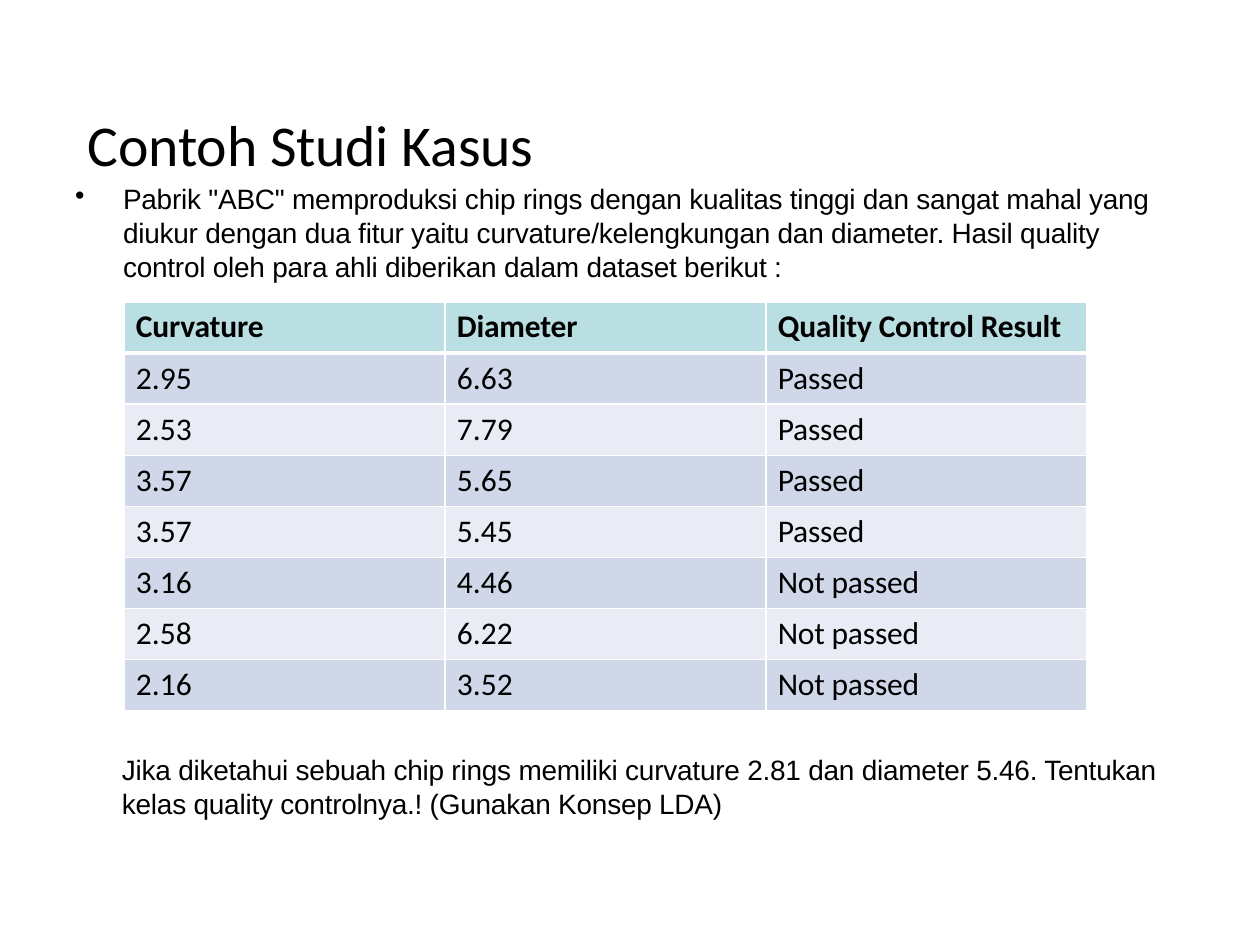
from lxml.etree import SubElement
from pptx import Presentation
from pptx.dml.color import RGBColor
from pptx.enum.text import MSO_ANCHOR
from pptx.oxml.ns import qn
from pptx.util import Pt

SCALE = 914400 // 126  # EMU in one px

INTRO = (
    'Pabrik "ABC" memproduksi chip rings dengan kualitas tinggi dan sangat '
    "mahal yang diukur dengan dua fitur yaitu curvature/kelengkungan dan "
    "diameter. Hasil quality control oleh para ahli diberikan dalam dataset "
    "berikut :"
)
TASK = (
    "Jika diketahui sebuah chip rings memiliki curvature 2.81 dan diameter "
    "5.46. Tentukan kelas quality controlnya.! (Gunakan Konsep LDA)"
)
ROWS = [
    ("Curvature", "Diameter", "Quality Control Result"),
    ("2.95", "6.63", "Passed"),
    ("2.53", "7.79", "Passed"),
    ("3.57", "5.65", "Passed"),
    ("3.57", "5.45", "Passed"),
    ("3.16", "4.46", "Not passed"),
    ("2.58", "6.22", "Not passed"),
    ("2.16", "3.52", "Not passed"),
]
HEAD, BANDS = "BADFE2", ("D0D7E8", "E9ECF4")

TITLE_FONT = {"name": "Calibri", "size": Pt(33)}
BODY_FONT = {"name": "Arial", "size": Pt(16)}
CELL_FONT = {"name": "Calibri", "size": Pt(18)}


def px(num):
    return num * SCALE


def color(code):
    return RGBColor.from_string(code)


def put(item, values):
    for key, value in values.items():
        setattr(item, key, value)


def margins(left, top):
    return {"margin_left": px(left), "margin_top": px(top),
            "margin_right": 0, "margin_bottom": 0}


def write(para, text, font, tight=True):
    run = para.add_run()
    run.text = text
    put(run.font, font)
    run.font.color.rgb = color("000000")
    if tight:
        run.font._element.set("spc", "-10")


def bullet(para, indent, hang):
    props = para._p.get_or_add_pPr()
    props.set("marL", str(px(indent)))
    props.set("indent", str(-px(hang)))
    SubElement(props, qn("a:buChar"), char="•")


def add_text(slide, place, text, font, anchor=MSO_ANCHOR.TOP, dot=False):
    frame = slide.shapes.add_textbox(*map(px, place)).text_frame
    put(frame, {"word_wrap": True, "vertical_anchor": anchor,
                **margins(0 if dot else 1, 3)})
    para = frame.paragraphs[0]
    if dot:
        bullet(para, 49, 48)
    write(para, text, font)


def add_edges(cell, widths):
    props = cell._tc.get_or_add_tcPr()
    for side, width in widths.items():
        line = SubElement(props, qn(f"a:ln{side}"), w=str(Pt(width)))
        fill = SubElement(line, qn("a:solidFill"))
        SubElement(fill, qn("a:srgbClr"), val="FFFFFF")


def add_grid(slide, place, rows):
    shape = slide.shapes.add_table(len(rows), len(rows[0]), *map(px, place))
    table = shape.table
    for r, row in enumerate(rows):
        for c, text in enumerate(row):
            cell = table.cell(r, c)
            put(cell, margins(12, 6))
            # The rule under the header is thicker than the others
            add_edges(cell, {"L": 1, "R": 1, "T": 3 if r == 1 else 1,
                             "B": 3 if r == 0 else 1})
            cell.fill.solid()
            cell.fill.fore_color.rgb = color(BANDS[(r - 1) % 2] if r else HEAD)
            write(cell.text_frame.paragraphs[0], text,
                  {**CELL_FONT, "bold": r == 0}, not text[0].isdigit())


def main():
    deck = Presentation()
    put(deck, {"slide_width": px(1260), "slide_height": px(945)})
    slide = deck.slides.add_slide(deck.slide_layouts[6])

    # Title and case
    add_text(slide, (87, 50, 1086, 183), "Contoh Studi Kasus", TITLE_FONT,
             MSO_ANCHOR.MIDDLE)
    add_text(slide, (74, 179, 1095, 105), INTRO, BODY_FONT, dot=True)

    # Question and data set
    add_text(slide, (121, 750, 1062, 71), TASK, BODY_FONT)
    add_grid(slide, (124, 302, 963, 409), ROWS)

    deck.save("out.pptx")


if __name__ == "__main__":
    main()
